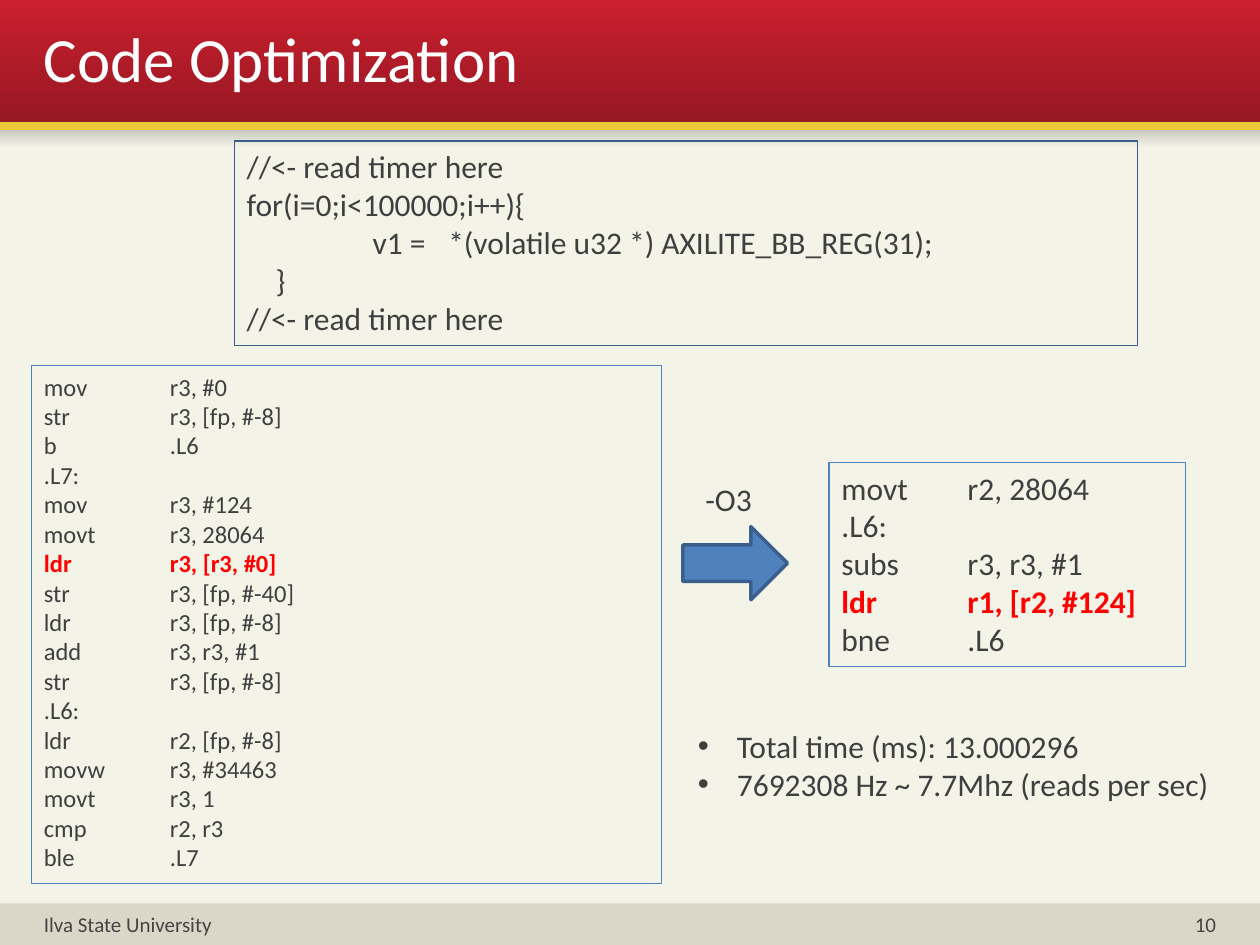
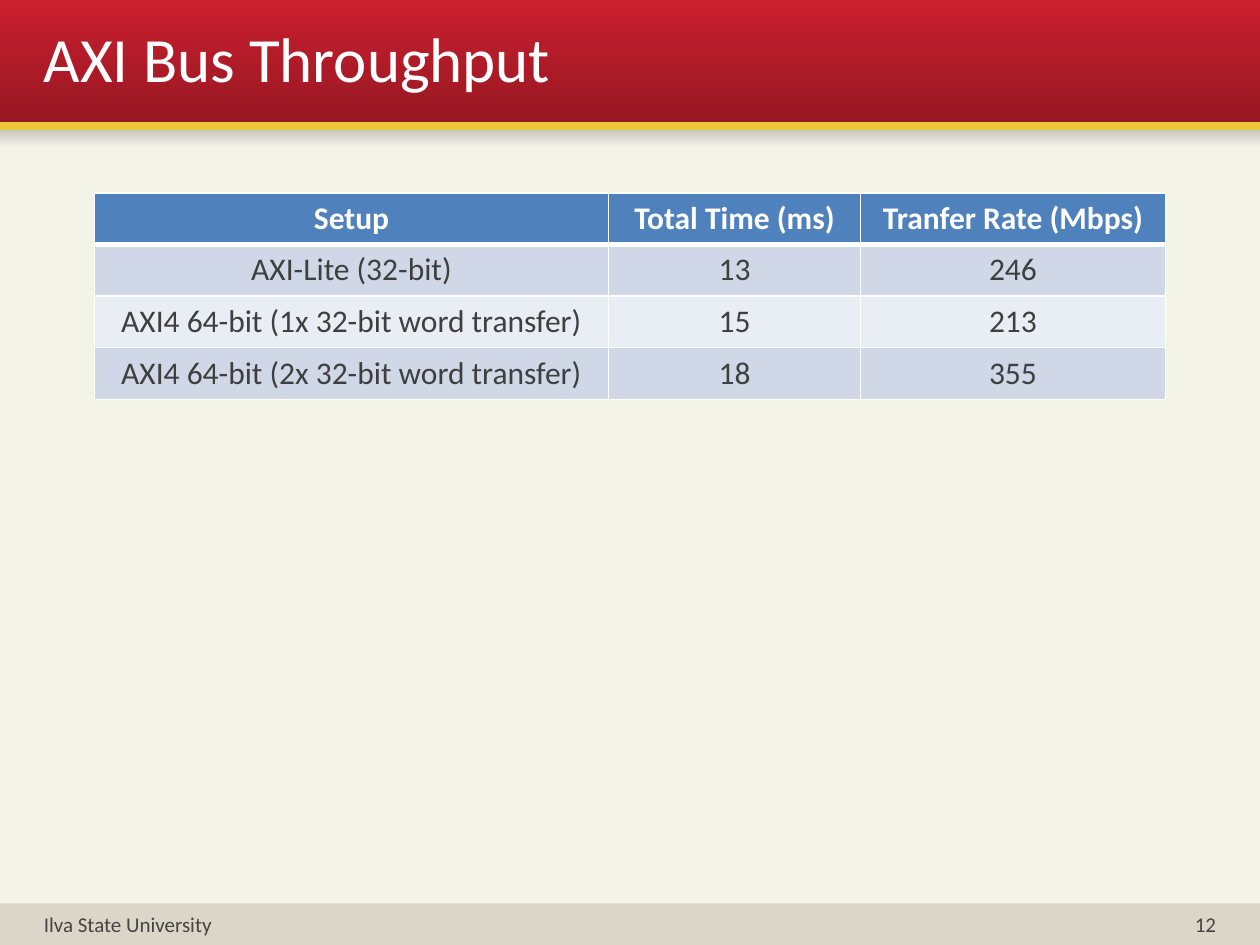
from lxml import etree
from pptx import Presentation
from pptx.dml.color import RGBColor
from pptx.enum.shapes import MSO_CONNECTOR, MSO_SHAPE
from pptx.enum.text import MSO_ANCHOR, PP_ALIGN
from pptx.oxml.ns import qn
from pptx.util import Inches, Pt

RECTANGLE, RIGHT_ARROW = MSO_SHAPE.RECTANGLE, MSO_SHAPE.RIGHT_ARROW
STRAIGHT = MSO_CONNECTOR.STRAIGHT
TOP, MIDDLE = MSO_ANCHOR.TOP, MSO_ANCHOR.MIDDLE
LEFT, CENTER, RIGHT = PP_ALIGN.LEFT, PP_ALIGN.CENTER, PP_ALIGN.RIGHT

FONT = "Calibri"
CREAM, SAND, GOLD, WHITE = "F4F3E8", "DBD6C7", "ECC838", "FFFFFF"
TITLE_BAND = ("CB1F2E", "951722")
BAND_SHADOW = ("BFBEB6", CREAM)
BLUE, DARK_BLUE = "4F81BD", "3A5F8C"
ROW_FILLS = ("D0D8E8", "E9EDF4")
TEXT, FOOTER_TEXT, HIGHLIGHT = "3F3F3F", "444444", "FF0000"

SLIDE_WIDTH, SLIDE_HEIGHT = 10, 7.5
MARGIN, BAND_HEIGHT, FOOTER_TOP, FOOTER_HEIGHT = 0.25, 1, 7.17, 0.33
FOOTER = "Ilva State University"

TIMED_LOOP = [
    "//<- read timer here",
    "for(i=0;i<100000;i++){",
    "\t\tv1 =\t*(volatile u32 *) AXILITE_BB_REG(31);",
    "\t}",
    "//<- read timer here",
]
# Each instruction is (mnemonic, operands); a label stands alone.
PLAIN_ASSEMBLY = [
    ("mov", "r3, #0"), ("str", "r3, [fp, #-8]"), ("b", ".L6"),
    (".L7:",),
    ("mov", "r3, #124"), ("movt", "r3, 28064"), ("ldr", "r3, [r3, #0]"),
    ("str", "r3, [fp, #-40]"), ("ldr", "r3, [fp, #-8]"),
    ("add", "r3, r3, #1"), ("str", "r3, [fp, #-8]"),
    (".L6:",),
    ("ldr", "r2, [fp, #-8]"), ("movw", "r3, #34463"), ("movt", "r3, 1"),
    ("cmp", "r2, r3"), ("ble", ".L7"),
]
OPTIMIZED_ASSEMBLY = [
    ("movt", "r2, 28064"),
    (".L6:",),
    ("subs", "r3, r3, #1"), ("ldr", "r1, [r2, #124]"), ("bne", ".L6"),
]
BUS_READS = {("ldr", "r3, [r3, #0]"), ("ldr", "r1, [r2, #124]")}
RESULTS = ["Total time (ms): 13.000296", "7692308 Hz ~ 7.7Mhz (reads per sec)"]

THROUGHPUT = [
    ("Setup", "Total Time (ms)", "Tranfer Rate (Mbps)"),
    ("AXI-Lite (32-bit)", "13", "246"),
    ("AXI4 64-bit (1x 32-bit word transfer)", "15", "213"),
    ("AXI4 64-bit (2x 32-bit word transfer)", "18", "355"),
]
COLUMN_WIDTHS = (4.08, 2, 2.42)
ROW_HEIGHT = 0.41


def color(value):
    return RGBColor.from_string(value)


def inches(box):
    return [Inches(length) for length in box]


def fill_solid(fill, value):
    fill.solid()
    fill.fore_color.rgb = color(value)


def add_run(paragraph, text, size, value=TEXT, bold=False):
    run = paragraph.add_run()
    run.text = text
    run.font.name, run.font.size, run.font.bold = FONT, Pt(size), bold
    run.font.color.rgb = color(value)


def add_block(slide, shape_type, box, fill=None, line=None, line_width=0.75):
    """Add a preset shape; a pair of fill colours makes a downward gradient."""
    shape = slide.shapes.add_shape(shape_type, *inches(box))
    shape.shadow.inherit = False
    if fill is None:
        shape.fill.background()
    elif isinstance(fill, tuple):
        shape.fill.gradient()
        shape.fill.gradient_angle = 270
        for stop, value in zip(shape.fill.gradient_stops, fill):
            stop.color.rgb = color(value)
    else:
        fill_solid(shape.fill, fill)
    if line:
        shape.line.color.rgb = color(line)
        shape.line.width = Pt(line_width)
    else:
        shape.line.fill.background()
    return shape


def set_tabs(paragraph, stops):
    tab_list = etree.SubElement(paragraph._p.get_or_add_pPr(), qn("a:tabLst"))
    for stop in stops:
        etree.SubElement(tab_list, qn("a:tab"), pos=str(Inches(stop)), algn="l")


def set_bullet(paragraph, indent):
    properties = paragraph._p.get_or_add_pPr()
    properties.set("marL", str(Inches(indent)))
    properties.set("indent", str(-Inches(indent)))
    etree.SubElement(properties, qn("a:buFont"), typeface="Arial")
    etree.SubElement(properties, qn("a:buChar"), char="•")


def write_lines(shape, lines, size, value=TEXT, align=LEFT, anchor=TOP,
                tabs=(), bullet_indent=0, wrap=True):
    frame = shape.text_frame
    frame.word_wrap = wrap
    frame.vertical_anchor = anchor
    for index, line in enumerate(lines):
        paragraph = frame.add_paragraph() if index else frame.paragraphs[0]
        paragraph.alignment = align
        if bullet_indent:
            set_bullet(paragraph, bullet_indent)
        if tabs:
            set_tabs(paragraph, tabs)
        important = line in BUS_READS
        text = line if isinstance(line, str) else "\t".join(line)
        add_run(paragraph, text, size, HIGHLIGHT if important else value, important)


def add_text(slide, box, lines, size, **options):
    write_lines(slide.shapes.add_textbox(*inches(box)), lines, size, **options)


def add_code(slide, box, lines, size, line=BLUE, tabs=(1,)):
    write_lines(add_block(slide, RECTANGLE, box, line=line), lines, size, tabs=tabs)


def add_base_slide(presentation, title, number):
    slide = presentation.slides.add_slide(presentation.slide_layouts[6])
    fill_solid(slide.background.fill, CREAM)
    for top, height, fill in (
        (0, BAND_HEIGHT, TITLE_BAND),
        (BAND_HEIGHT, 0.17, BAND_SHADOW),
        (FOOTER_TOP, FOOTER_HEIGHT, SAND),
    ):
        add_block(slide, RECTANGLE, (0, top, SLIDE_WIDTH, height), fill)

    rule = slide.shapes.add_connector(
        STRAIGHT, *inches((0, BAND_HEIGHT, SLIDE_WIDTH, BAND_HEIGHT)))
    rule.line.color.rgb = color(GOLD)
    rule.line.width = Pt(4.5)
    etree.SubElement(rule._element.spPr, qn("a:effectLst"))

    add_text(slide, (MARGIN, -0.17, SLIDE_WIDTH - 2 * MARGIN, 1.25), [title], 36,
             value=WHITE, anchor=MIDDLE)
    width = 2.33
    for left, text, align in (
        (MARGIN, FOOTER, LEFT),
        (SLIDE_WIDTH - MARGIN - width, str(number), RIGHT),
    ):
        add_text(slide, (left, FOOTER_TOP, width, FOOTER_HEIGHT), [text], 12,
                 value=FOOTER_TEXT, align=align, anchor=MIDDLE)
    return slide


def set_borders(cell, top_width, bottom_width):
    properties = cell._tc.get_or_add_tcPr()
    for side, width in zip("LRTB", (1, 1, top_width, bottom_width)):
        border = etree.SubElement(properties, qn(f"a:ln{side}"), w=str(Pt(width)))
        solid = etree.SubElement(border, qn("a:solidFill"))
        etree.SubElement(solid, qn("a:srgbClr"), val=WHITE)


def add_throughput_table(slide):
    box = (0.75, 1.53, sum(COLUMN_WIDTHS), ROW_HEIGHT * len(THROUGHPUT))
    table = slide.shapes.add_table(
        len(THROUGHPUT), len(COLUMN_WIDTHS), *inches(box)).table
    for column, width in zip(table.columns, COLUMN_WIDTHS):
        column.width = Inches(width)
    for row_index, values in enumerate(THROUGHPUT):
        header = row_index == 0
        fill = BLUE if header else ROW_FILLS[(row_index - 1) % 2]
        for column_index, value in enumerate(values):
            cell = table.cell(row_index, column_index)
            set_borders(cell, 3 if row_index == 1 else 1, 3 if header else 1)
            fill_solid(cell.fill, fill)
            paragraph = cell.text_frame.paragraphs[0]
            paragraph.alignment = CENTER
            add_run(paragraph, value, 18, WHITE if header else TEXT, header)


def build_optimization_slide(presentation):
    slide = add_base_slide(presentation, "Code Optimization", 10)
    add_code(slide, (6.58, 3.67, 2.83, 1.62), OPTIMIZED_ASSEMBLY, 18)
    add_code(slide, (MARGIN, 2.9, 5, 4.11), PLAIN_ASSEMBLY, 14)
    add_block(slide, RIGHT_ARROW, (5.42, 4.18, 0.83, 0.58), BLUE, DARK_BLUE, 2)
    add_code(slide, (1.86, 1.12, 7.17, 1.62), TIMED_LOOP, 18,
             line=DARK_BLUE, tabs=(0.23, 1, 1.6))
    add_text(slide, (5.5, 3.76, 1, 0.4), ["-O3"], 18)
    add_text(slide, (5.44, 5.72, 4.31, 0.71), RESULTS, 18,
             bullet_indent=0.31, wrap=False)


def main():
    presentation = Presentation()
    presentation.slide_width = Inches(SLIDE_WIDTH)
    presentation.slide_height = Inches(SLIDE_HEIGHT)
    build_optimization_slide(presentation)
    add_throughput_table(add_base_slide(presentation, "AXI Bus Throughput", 12))
    presentation.save("out.pptx")


if __name__ == "__main__":
    main()
